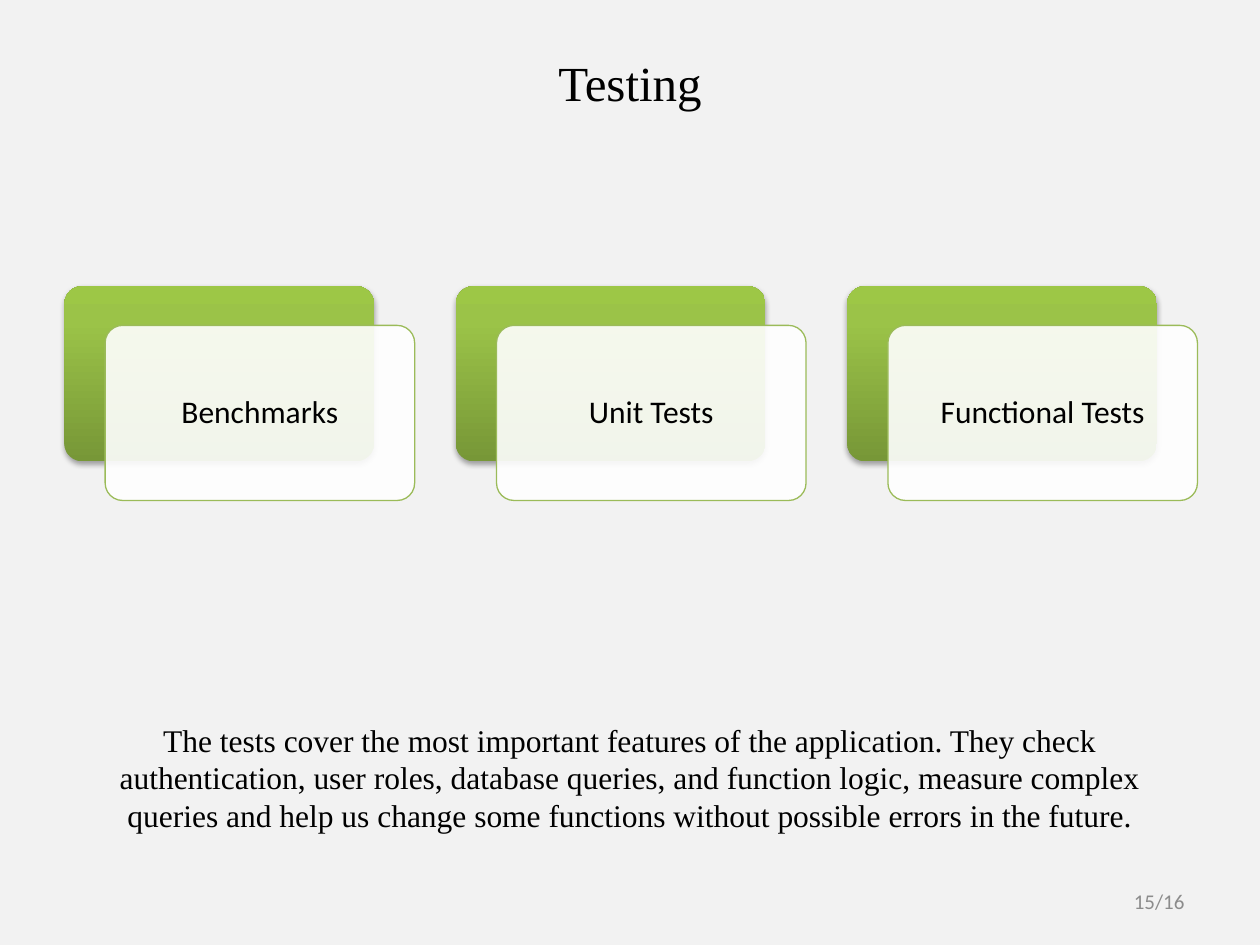
from lxml.etree import SubElement
from pptx import Presentation
from pptx.dml.color import RGBColor
from pptx.enum.shapes import MSO_SHAPE as Preset
from pptx.enum.text import MSO_ANCHOR as Anchor, MSO_AUTO_SIZE as AutoSize, PP_ALIGN as Align
from pptx.oxml.ns import qn
from pptx.util import Cm, Pt

CARD_LABELS = ["Benchmarks", "Unit Tests", "Functional Tests"]
CARD_WIDTH, CARD_HEIGHT = 6.24, 3.53
CARD_LEFT, CARD_TOP, CARD_PITCH = 1.3, 5.77, 7.89
CARD_SHIFT_X, CARD_SHIFT_Y = 0.82, 0.79
GREEN_STOPS = [(0, "779737"), (80, "9BC348"), (100, "9DC746")]
SUMMARY = (
    "The tests cover the most important features of the application. They check "
    "authentication, user roles, database queries, and function logic, measure complex "
    "queries and help us change some functions without possible errors in the future."
)
SERIF = {"name": "Times New Roman"}
SANS = {"name": "Calibri"}


def color(hex_code):
    return RGBColor.from_string(hex_code)


def add_element(parent, tag, **attributes):
    values = {name: str(value) for name, value in attributes.items()}
    return SubElement(parent, qn(tag), values)


def place(shape, left, top, width, height):
    box = {"left": left, "top": top, "width": width, "height": height}
    for name, value in box.items():
        setattr(shape, name, Cm(value))


def write(shape, text, font, size, hex_code="000000", align=Align.CENTER,
          anchor=Anchor.MIDDLE):
    frame = shape.text_frame
    frame.word_wrap = True
    frame.auto_size = AutoSize.NONE
    frame.vertical_anchor = anchor
    para = frame.paragraphs[0]
    para.alignment = align
    span = para.add_run()
    span.text = text
    for name, value in {**font, "size": Pt(size)}.items():
        setattr(span.font, name, value)
    span.font.color.rgb = color(hex_code)
    return para


def remove_bullet(para):
    properties = para._p.get_or_add_pPr()
    for name in ("marL", "indent"):
        properties.set(name, "0")
    add_element(properties, "a:buNone")


def add_rounded(slide, left, top):
    shape = slide.shapes.add_shape(
        Preset.ROUNDED_RECTANGLE, Cm(left), Cm(top), Cm(CARD_WIDTH), Cm(CARD_HEIGHT))
    shape.adjustments[0] = 0.1
    shape.shadow.inherit = False
    return shape


def fill_green(shape):
    """Give the shape an upward green gradient."""
    shape.fill.gradient()
    shape.fill.gradient_angle = 90
    stops = shape._element.spPr.find(".//" + qn("a:gsLst"))
    stops.clear()
    for position, hex_code in GREEN_STOPS:
        stop = add_element(stops, "a:gs", pos=position * 1000)
        add_element(stop, "a:srgbClr", val=hex_code)


def add_shadow(shape):
    effects = shape._element.spPr.find(qn("a:effectLst"))
    shadow = add_element(effects, "a:outerShdw", blurRad=Pt(3.1), dist=Pt(1.8),
                         dir=5400000, rotWithShape=0)
    shade = add_element(shadow, "a:srgbClr", val="000000")
    add_element(shade, "a:alpha", val=35000)


def add_card(slide, left, label):
    """Add a green back plate and the labelled white card that overlaps it."""
    plate = add_rounded(slide, left, CARD_TOP)
    fill_green(plate)
    plate.line.fill.background()
    add_shadow(plate)

    card = add_rounded(slide, left + CARD_SHIFT_X, CARD_TOP + CARD_SHIFT_Y)
    card.fill.solid()
    card.fill.fore_color.rgb = color("FFFFFF")
    white = card._element.spPr.find(qn("a:solidFill"))[0]
    add_element(white, "a:alpha", val=90000)
    card.line.color.rgb = color("9BBB59")
    card.line.width = Pt(0.75)
    para = write(card, label, SANS, 18)
    para.line_spacing = 0.9


def add_page_number(slide, text):
    box = slide.shapes.add_textbox(Cm(18.21), Cm(17.65), Cm(5.92), Cm(1.02))
    write(box, text, SANS, 12, "8C8C8C", Align.RIGHT)


def main():
    deck = Presentation()
    deck.slide_width, deck.slide_height = Cm(25.4), Cm(19.05)
    slide = deck.slides.add_slide(deck.slide_layouts[1])
    slide.background.fill.solid()
    slide.background.fill.fore_color.rgb = color("F2F2F2")

    title, body = slide.placeholders
    place(title, 1.27, 0.76, 22.86, 1.78)
    write(title, "Testing", SERIF, 28)
    place(body, 1.27, 14.4, 22.86, 2.74)
    remove_bullet(write(body, SUMMARY, SERIF, 18, anchor=Anchor.TOP))

    for index, label in enumerate(CARD_LABELS):
        add_card(slide, CARD_LEFT + index * CARD_PITCH, label)
    add_page_number(slide, "15/16")
    deck.save("out.pptx")


if __name__ == "__main__":
    main()
